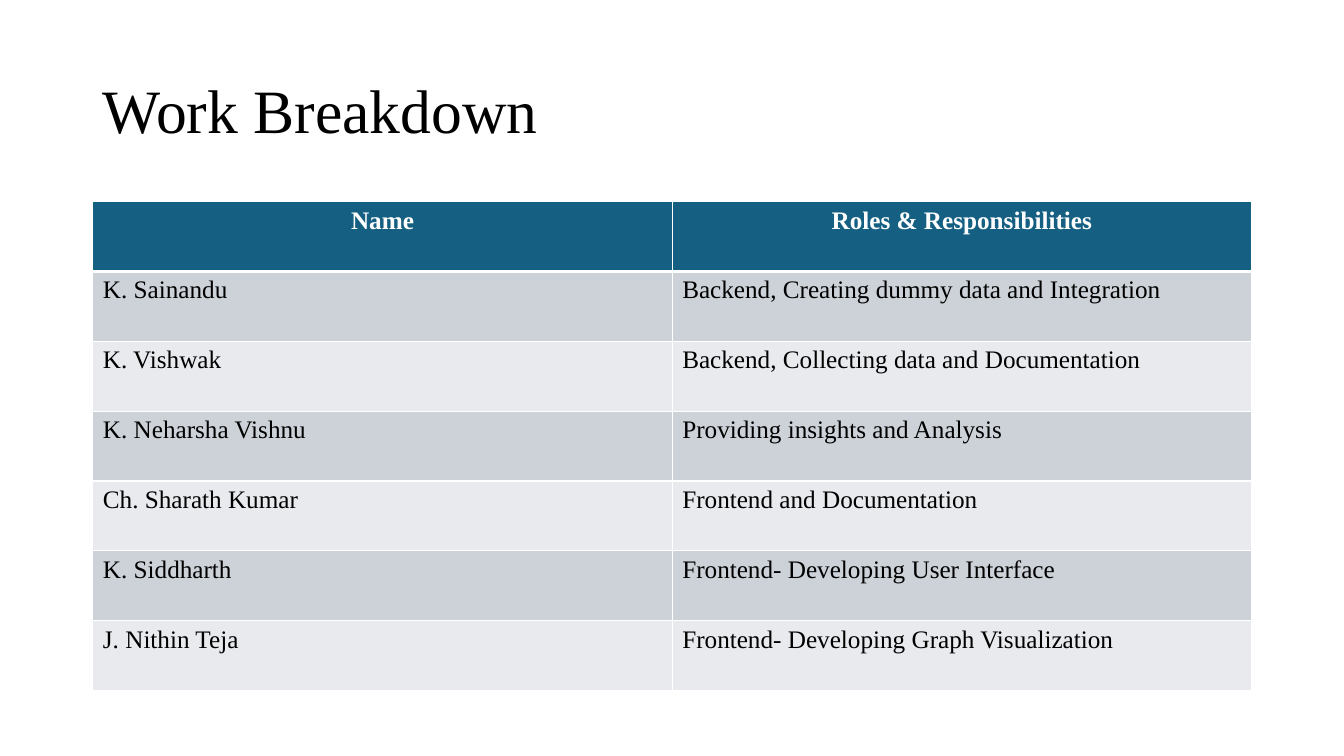
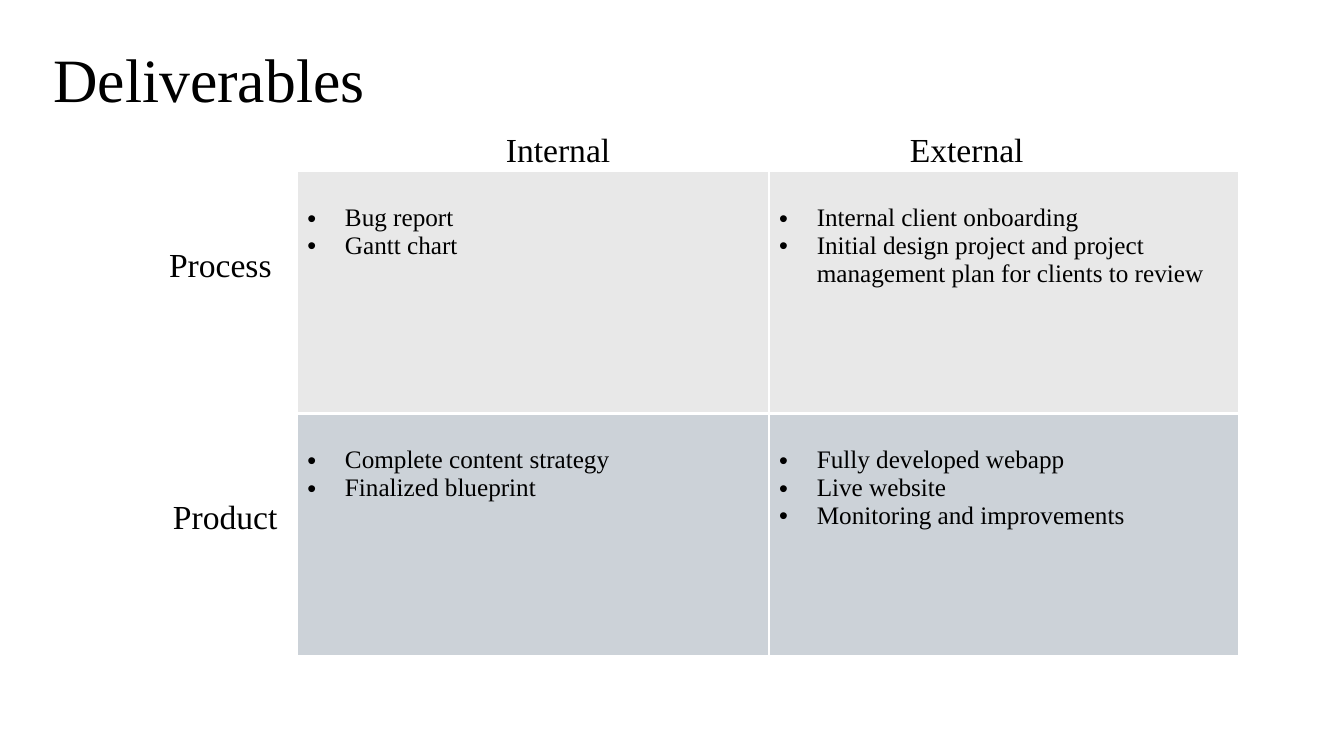
from lxml.etree import SubElement
from pptx import Presentation
from pptx.dml.color import RGBColor
from pptx.enum.text import MSO_ANCHOR, MSO_AUTO_SIZE, PP_ALIGN
from pptx.oxml.ns import qn
from pptx.util import Cm, Pt

# Shared look
FONT = "Times New Roman"
HUES = {
    "ink": "000000",
    "white": "FFFFFF",
    "head": "156082",
    "dark": "CCD2D8",
    "light": "E8EAED",
    "gray": "E8E8E8",
}
TITLE = {"size": Pt(44), "bold": False}
LABEL = {"size": Pt(24), "bold": False}
BODY = {"size": Pt(18), "bold": False}
HEAD = {"size": Pt(18), "bold": True}
FRAME = {
    "vertical_anchor": MSO_ANCHOR.MIDDLE,
    "auto_size": MSO_AUTO_SIZE.NONE,
    "word_wrap": True,
}

# Slide content
TEAM = [
    ("Name", "Roles & Responsibilities"),
    ("K. Sainandu", "Backend, Creating dummy data and Integration"),
    ("K. Vishwak", "Backend, Collecting data and Documentation"),
    ("K. Neharsha Vishnu", "Providing insights and Analysis"),
    ("Ch. Sharath Kumar", "Frontend and Documentation"),
    ("K. Siddharth", "Frontend- Developing User Interface"),
    ("J. Nithin Teja", "Frontend- Developing Graph Visualization"),
]
GOODS = [
    (
        ["Bug report", "Gantt chart"],
        [
            "Internal client onboarding",
            "Initial design project and project management plan for clients to review",
        ],
    ),
    (
        ["Complete content strategy", "Finalized blueprint"],
        ["Fully developed webapp", "Live website", "Monitoring and improvements"],
    ),
]
# Text, left, top, width, wrap
LABELS = [
    ("Internal", 12.5, 3.12, 4.39, True),
    ("External", 22.68, 3.12, 3.4, False),
    ("Process", 4.01, 6.02, 3.12, False),
    ("Product", 4.11, 12.37, 3.18, False),
]


def assign(item, values):
    for name, value in values.items():
        setattr(item, name, value)


def hue(name):
    return RGBColor.from_string(HUES[name])


def write(para, text, style, color="ink"):
    run = para.add_run()
    run.text = text
    assign(run.font, {"name": FONT, **style})
    run.font.color.rgb = hue(color)


def add_page(deck, text, left, top):
    page = deck.slides.add_slide(deck.slide_layouts[5])
    title = page.shapes.title
    assign(title, {"left": Cm(left), "top": Cm(top),
                   "width": Cm(29.21), "height": Cm(3.68)})
    assign(title.text_frame, FRAME)
    para = title.text_frame.paragraphs[0]
    assign(para, {"alignment": PP_ALIGN.LEFT, "line_spacing": 0.9})
    write(para, text, TITLE)
    return page


def add_label(page, text, left, top, width, wrap):
    box = page.shapes.add_textbox(Cm(left), Cm(top), Cm(width), Cm(1.27))
    assign(box.text_frame, {"word_wrap": wrap,
                            "auto_size": MSO_AUTO_SIZE.SHAPE_TO_FIT_TEXT})
    write(box.text_frame.paragraphs[0], text, LABEL)


def add_grid(page, left, top, widths, height, rows):
    frame = page.shapes.add_table(rows, len(widths), Cm(left), Cm(top),
                                  Cm(sum(widths)), Cm(height * rows))
    grid = frame.table
    for col, width in zip(grid.columns, widths):
        col.width = Cm(width)
    for row in grid.rows:
        row.height = Cm(height)
    return grid


def paint(cell, row, color):
    # The line below the first row is thick
    sizes = {"L": 1, "R": 1, "T": 3 if row == 1 else 1, "B": 3 if row == 0 else 1}
    props = cell._tc.get_or_add_tcPr()
    for side, size in sizes.items():
        line = SubElement(props, qn(f"a:ln{side}"), w=str(Pt(size)))
        fill = SubElement(line, qn("a:solidFill"))
        SubElement(fill, qn("a:srgbClr"), val=HUES["white"])
    cell.fill.solid()
    cell.fill.fore_color.rgb = hue(color)


def bullet(para):
    props = para._p.get_or_add_pPr()
    indent = Cm(0.95)
    props.set("marL", str(indent))
    props.set("indent", str(-indent))
    SubElement(props, qn("a:buFont"), typeface="Arial")
    SubElement(props, qn("a:buChar"), char="•")


def add_list(cell, items):
    cell.margin_top = Cm(0.83)
    frame = cell.text_frame
    for num, item in enumerate(items):
        para = frame.add_paragraph() if num else frame.paragraphs[0]
        bullet(para)
        write(para, item, BODY)


def add_team(page):
    grid = add_grid(page, 2.34, 5.08, [14.6, 14.6], 1.76, len(TEAM))
    for row, texts in enumerate(TEAM):
        for col, text in enumerate(texts):
            cell = grid.cell(row, col)
            para = cell.text_frame.paragraphs[0]
            if row == 0:
                paint(cell, row, "head")
                para.alignment = PP_ALIGN.CENTER
                write(para, text, HEAD, "white")
            else:
                paint(cell, row, "dark" if row % 2 else "light")
                write(para, text, BODY)


def add_goods(page):
    grid = add_grid(page, 7.49, 4.32, [11.89, 11.84], 6.1, len(GOODS))
    for row, lists in enumerate(GOODS):
        for col, items in enumerate(lists):
            cell = grid.cell(row, col)
            paint(cell, row, "dark" if row else "gray")
            add_list(cell, items)


def main():
    deck = Presentation()
    assign(deck, {"slide_width": Cm(33.87), "slide_height": Cm(19.05)})

    # Work table
    add_team(add_page(deck, "Work Breakdown", 2.34, 1.02))

    # Deliverables matrix
    page = add_page(deck, "Deliverables", 1.09, 0.25)
    add_goods(page)
    for label in LABELS:
        add_label(page, *label)

    deck.save("out.pptx")


if __name__ == "__main__":
    main()
